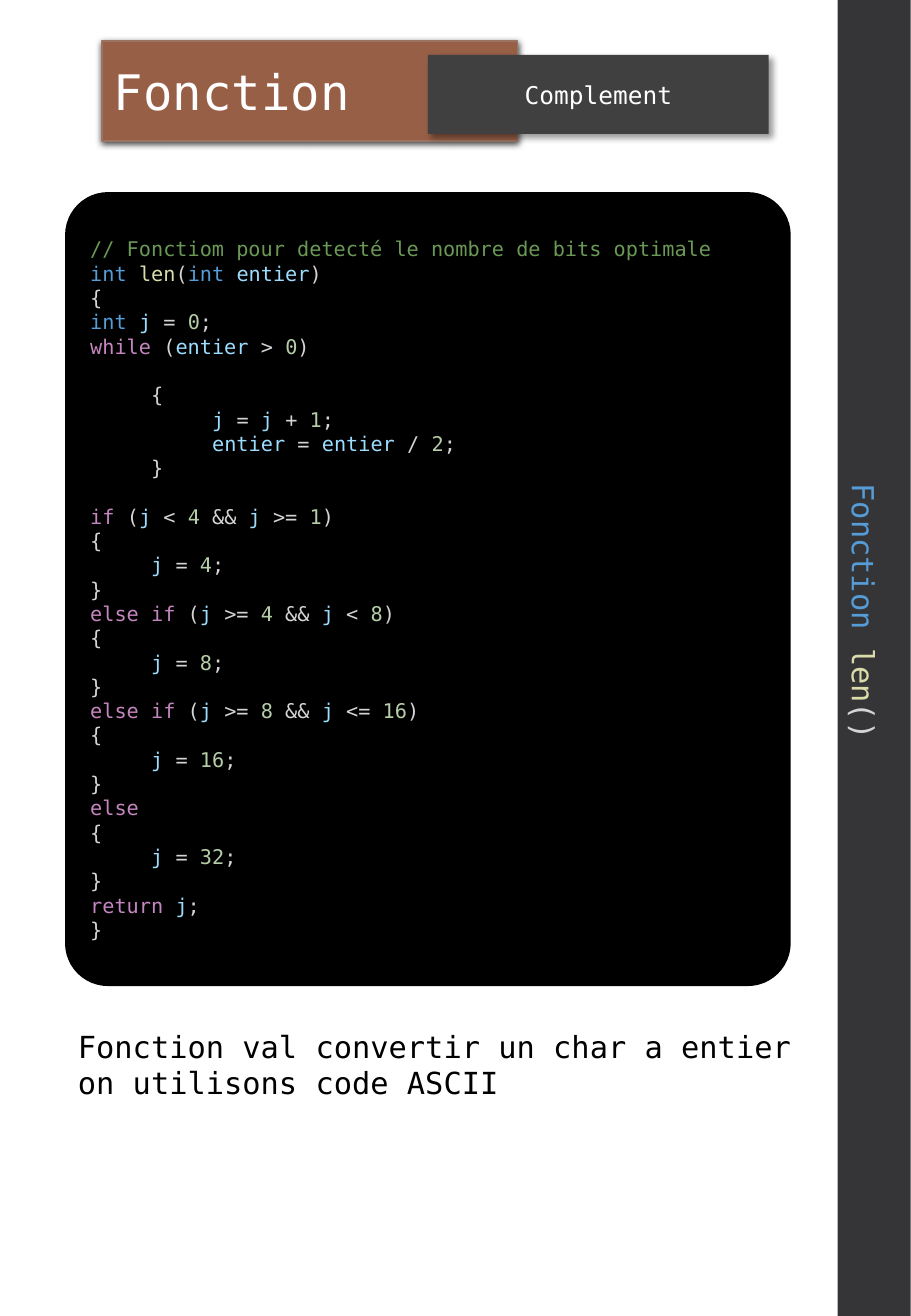
from dataclasses import dataclass
from itertools import groupby
from typing import NamedTuple, Optional

from lxml import etree
from pptx import Presentation
from pptx.dml.color import RGBColor
from pptx.enum.shapes import MSO_SHAPE
from pptx.enum.text import MSO_ANCHOR, MSO_AUTO_SIZE, PP_ALIGN
from pptx.oxml.ns import qn
from pptx.util import Emu, Inches, Pt

RECTANGLE, ROUNDED = MSO_SHAPE.RECTANGLE, MSO_SHAPE.ROUNDED_RECTANGLE
LEFT, CENTER = PP_ALIGN.LEFT, PP_ALIGN.CENTER
TOP, MIDDLE = MSO_ANCHOR.TOP, MSO_ANCHOR.MIDDLE
FIT_TEXT = MSO_AUTO_SIZE.SHAPE_TO_FIT_TEXT
EMU_PER_PIXEL = 914400 / 121.5
INDENT = 61  # pixels per code level


@dataclass(frozen=True)
class Theme:
    """Colours and type sizes of the slide."""
    font: str = "DejaVu Sans Mono"
    white: str = "FFFFFF"
    black: str = "000000"
    side_bar: str = "353537"
    title_fill: str = "985F47"
    title_line: str = "9B7362"
    tag_fill: str = "404040"
    side_label: str = "569CD7"
    comment: str = "6A9955"
    type_name: str = "569CD6"
    function: str = "DCDCAA"
    variable: str = "9CDCFE"
    number: str = "B5CEA8"
    control: str = "C586C0"
    symbol: str = "D4D4D4"
    title_size: float = 29
    tag_size: float = 14.5
    body_size: float = 18
    code_size: float = 12
    code_gap: float = 14.4


class Box(NamedTuple):
    """Place and size in pixels."""
    left: int
    top: int
    width: int
    height: int


class Shadow(NamedTuple):
    """Outer shadow: opacity in percent, lengths in points, angle in degrees."""
    opacity: float
    blur: float
    distance: float
    angle: float


class Run(NamedTuple):
    """Text in one colour."""
    text: str
    color: str


class CodeLine(NamedTuple):
    """One line of code, its level and whether a gap comes before it."""
    text: str
    level: int = 0
    gap: bool = False


@dataclass(frozen=True)
class Panel:
    """A filled shape."""
    box: Box
    fill: str
    line: Optional[str] = None
    line_width: float = 0.75
    shadow: Optional[Shadow] = None
    preset: int = RECTANGLE


THEME = Theme()
WORD_COLORS = {
    "int": THEME.type_name,
    "len": THEME.function,
    **dict.fromkeys(("while", "if", "else", "return"), THEME.control),
}

SIDE_BAR = Panel(Box(838, 0, 73, 1316), THEME.side_bar)
TITLE = Panel(Box(102, 41, 416, 100), THEME.title_fill, THEME.title_line,
              shadow=Shadow(75, 4, 1.2, 90))
TAG = Panel(Box(428, 55, 341, 79), THEME.tag_fill, shadow=Shadow(40, 4, 3, 45))
CODE = Panel(Box(66, 193, 724, 792), THEME.black, THEME.black, 1.1, preset=ROUNDED)
SIDE_LABEL_BOX = Box(454, 587, 820, 49)
NOTE_BOX = Box(66, 1022, 767, 86)


def branch(head: str, value: int, gap: bool = False) -> list[CodeLine]:
    """Return a condition followed by its block that sets j."""
    return [CodeLine(head, gap=gap), CodeLine("{"),
            CodeLine(f"j = {value};", 1), CodeLine("}")]


CODE_LINES = [
    CodeLine("// Fonctiom pour detecté le nombre de bits optimale"),
    CodeLine("int len(int entier)"),
    CodeLine("{"),
    CodeLine("int j = 0;"),
    CodeLine("while (entier > 0)"),
    CodeLine("{", 1, True),
    CodeLine("j = j + 1;", 2),
    CodeLine("entier = entier / 2;", 2),
    CodeLine("}", 1),
    *branch("if (j < 4 && j >= 1)", 4, True),
    *branch("else if (j >= 4 && j < 8)", 8),
    *branch("else if (j >= 8 && j <= 16)", 16),
    *branch("else", 32),
    CodeLine("return j;"),
    CodeLine("}"),
]


def pixels(length: float) -> Emu:
    """Convert pixels to EMU."""
    return Emu(round(length * EMU_PER_PIXEL))


def color_of(word: str) -> str:
    """Return the syntax colour of one token."""
    if not word.isalnum():
        return THEME.symbol
    return THEME.number if word.isdigit() else WORD_COLORS.get(word, THEME.variable)


def highlight(text: str) -> list[Run]:
    """Split a line of code into coloured runs."""
    if text.startswith("//"):
        return [Run(text, THEME.comment)]
    tokens = ("".join(group) for _, group in groupby(text, str.isalnum))
    return [Run(token, color_of(token)) for token in tokens]


def add_shadow(shape, shadow: Shadow) -> None:
    """Give a shape an outer shadow."""
    effects = shape._element.spPr.find(qn("a:effectLst"))
    outer = etree.SubElement(effects, qn("a:outerShdw"), {
        "blurRad": str(Pt(shadow.blur)), "dist": str(Pt(shadow.distance)),
        "dir": str(shadow.angle * 60000), "algn": "ctr", "rotWithShape": "0"})
    color = etree.SubElement(outer, qn("a:srgbClr"), val=THEME.black)
    etree.SubElement(color, qn("a:alpha"), val=str(shadow.opacity * 1000))


def add_panel(slide, panel: Panel):
    """Draw a panel and return its shape."""
    shape = slide.shapes.add_shape(panel.preset, *map(pixels, panel.box))
    shape.shadow.inherit = False
    shape.fill.solid()
    shape.fill.fore_color.rgb = RGBColor.from_string(panel.fill)
    if panel.line:
        shape.line.color.rgb = RGBColor.from_string(panel.line)
        shape.line.width = Pt(panel.line_width)
    else:
        shape.line.fill.background()
    if panel.shadow:
        add_shadow(shape, panel.shadow)
    return shape


def add_text_box(slide, box: Box):
    """Add a text box that grows with its text."""
    shape = slide.shapes.add_textbox(*map(pixels, box))
    shape.text_frame.auto_size = FIT_TEXT
    return shape


def write(shape, lines: list[list[Run]], size: float, align=LEFT, anchor=MIDDLE) -> None:
    """Write one paragraph of coloured runs per line."""
    frame = shape.text_frame
    frame.word_wrap = True
    frame.vertical_anchor = anchor
    for index, runs in enumerate(lines):
        paragraph = frame.add_paragraph() if index else frame.paragraphs[0]
        paragraph.alignment = align
        paragraph.font.name = THEME.font
        paragraph.font.size = Pt(size)
        for text, color in runs:
            run = paragraph.add_run()
            run.text = text
            run.font.color.rgb = RGBColor.from_string(color)


def add_code(slide) -> None:
    """Draw the code panel with its highlighted, indented lines."""
    shape = add_panel(slide, CODE)
    shape.adjustments[0] = 0.058
    write(shape, [highlight(line.text) for line in CODE_LINES], THEME.code_size)
    for paragraph, line in zip(shape.text_frame.paragraphs, CODE_LINES):
        paragraph._p.get_or_add_pPr().set("marL", str(pixels(line.level * INDENT)))
        if line.gap:
            paragraph.space_before = Pt(THEME.code_gap)


def main() -> None:
    """Build and save the presentation."""
    presentation = Presentation()
    presentation.slide_width, presentation.slide_height = Inches(7.5), Inches(10.83)
    slide = presentation.slides.add_slide(presentation.slide_layouts[6])
    add_panel(slide, SIDE_BAR)
    write(add_panel(slide, TITLE), [[Run("Fonction", THEME.white)]], THEME.title_size)
    write(add_panel(slide, TAG), [[Run("Complement", THEME.white)]], THEME.tag_size, CENTER)
    side_label = add_text_box(slide, SIDE_LABEL_BOX)
    side_label.rotation = 90
    write(side_label, [[Run("Fonction ", THEME.side_label), *highlight("len()")]],
          THEME.body_size, CENTER, TOP)
    add_code(slide)
    note = ("Fonction val convertir un char a entier", "on utilisons code ASCII")
    write(add_text_box(slide, NOTE_BOX), [[Run(line, THEME.black)] for line in note],
          THEME.body_size, anchor=TOP)
    presentation.save("out.pptx")


main()
